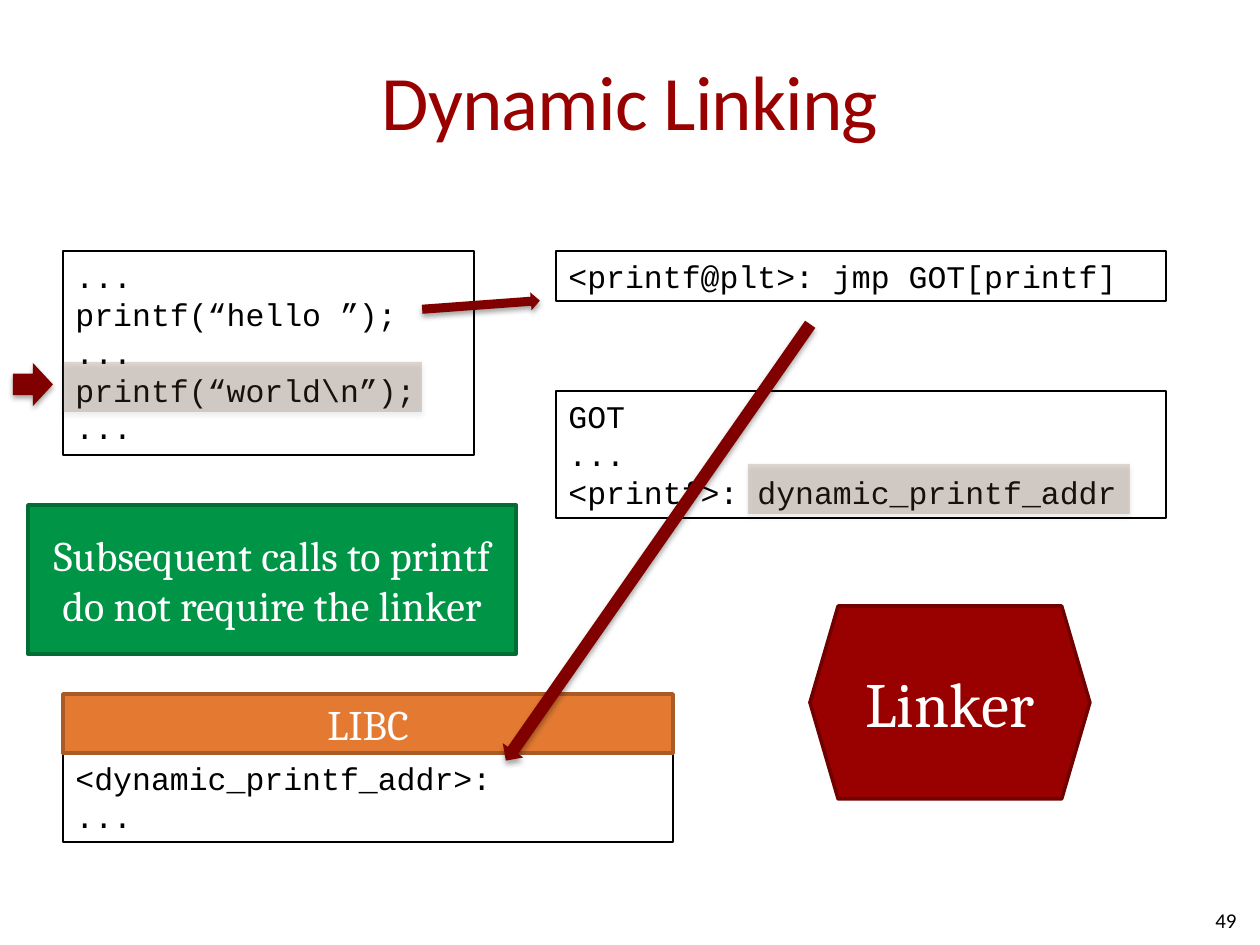
import pptx
import pptx.util
import pptx.dml.color
import pptx.enum.shapes
import pptx.enum.text
import pptx.oxml
import pptx.oxml.ns

Pt = pptx.util.Pt
KIND = pptx.enum.shapes.MSO_SHAPE
ANCHOR = pptx.enum.text.MSO_ANCHOR
ALIGN = pptx.enum.text.PP_ALIGN
NS = pptx.oxml.ns.nsdecls("a")
SCALE = 914400 // 126  # EMU in one px


def px(*vals):
    return [pptx.util.Emu(v * SCALE) for v in vals]


def rgb(code):
    return pptx.dml.color.RGBColor.from_string(code)


def write(shape, lines, size, face, color, align, anchor):
    frame = shape.text_frame
    frame.word_wrap = True
    frame.vertical_anchor = anchor
    frame.text = "\n".join(lines)
    for para in frame.paragraphs:
        para.alignment = align
        para.font.size = Pt(size)
        para.font.name = face
        para.font.color.rgb = rgb(color)
    return frame


def label(slide, box, text, size, color, align):
    shape = slide.shapes.add_textbox(*px(*box))
    return write(shape, [text], size, "Calibri", color, align, ANCHOR.MIDDLE)


def draw(slide, kind, box, fill=None, line=None, width=0.75):
    shape = slide.shapes.add_shape(kind, *px(*box))
    shape.shadow.inherit = False
    if fill:
        shape.fill.solid()
        shape.fill.fore_color.rgb = rgb(fill)
    else:
        shape.fill.background()
    if line:
        shape.line.color.rgb = rgb(line)
        shape.line.width = Pt(width)
    else:
        shape.line.fill.background()
    return shape


def code(slide, box, *lines):
    shape = draw(slide, KIND.RECTANGLE, box, line="000000")
    write(shape, lines, 18, "Courier New", "000000", ALIGN.LEFT, ANCHOR.TOP)


def block(slide, kind, box, text, size, fill, line):
    shape = draw(slide, kind, box, fill, line, 2)
    write(shape, [text], size, "Cambria", "FFFFFF", ALIGN.CENTER, ANCHOR.MIDDLE)
    return shape


def shade(shape):
    """Give the shape a soft shadow below it."""
    props = shape.element.spPr
    effects = props.find(pptx.oxml.ns.qn("a:effectLst"))
    effects.append(pptx.oxml.parse_xml(
        f'<a:outerShdw {NS} blurRad="{Pt(3.1)}" dist="{Pt(1.8)}" dir="5400000" '
        'rotWithShape="0"><a:srgbClr val="000000"><a:alpha val="35000"/>'
        '</a:srgbClr></a:outerShdw>'))


def marker(slide, box):
    shape = draw(slide, KIND.RECTANGLE, box, "6E4A31")
    tint = shape.element.spPr.find(".//" + pptx.oxml.ns.qn("a:srgbClr"))
    tint.append(pptx.oxml.parse_xml(f'<a:alpha {NS} val="22000"/>'))
    shade(shape)


def arrow(slide, box, turn=0):
    shape = draw(slide, KIND.RIGHT_ARROW, box, "800000")
    shape.rotation = turn
    shade(shape)


def main():
    deck = pptx.Presentation()
    deck.slide_width, deck.slide_height = px(1260, 945)
    slide = deck.slides.add_slide(deck.slide_layouts[6])

    # Title
    title = label(slide, (63, 21, 1134, 158), "Dynamic Linking", 44,
                  "990000", ALIGN.CENTER)
    title.margin_left = title.margin_right = 0
    title.paragraphs[0].runs[0].font._element.set("spc", "-50")

    # Program, PLT and GOT
    code(slide, (63, 251, 411, 204), "...", "printf(“hello ”);", "...",
         "printf(“world\\n”);", "...")
    code(slide, (556, 251, 610, 50), "<printf@plt>: jmp GOT[printf]")
    code(slide, (556, 391, 610, 127), "GOT", "...",
         "<printf>: dynamic_printf_addr")

    # Current call and its jump to the PLT
    marker(slide, (63, 362, 359, 50))
    arrow(slide, (13, 363, 40, 43))
    arrow(slide, (422, 296, 118, 18), 355.8)

    # Library
    code(slide, (63, 753, 610, 89), "<dynamic_printf_addr>:", "...")
    block(slide, KIND.RECTANGLE, (63, 694, 610, 59), "LIBC", 24,
          "E47932", "A95A25")

    # Linker
    linker = block(slide, KIND.HEXAGON, (810, 606, 280, 193), "Linker", 36,
                   "990000", "710000")
    linker.adjustments[0] = 0.146

    # Resolved address, remark and jump to the library
    marker(slide, (748, 464, 382, 50))
    block(slide, KIND.RECTANGLE, (28, 505, 488, 149),
          "Subsequent calls to printf do not require the linker", 24,
          "009446", "006D34")
    arrow(slide, (392, 530, 532, 25), 124.9)

    # Page number
    label(slide, (955, 895, 294, 50), "49", 12, "000000", ALIGN.RIGHT)

    deck.save("out.pptx")


if __name__ == "__main__":
    main()
